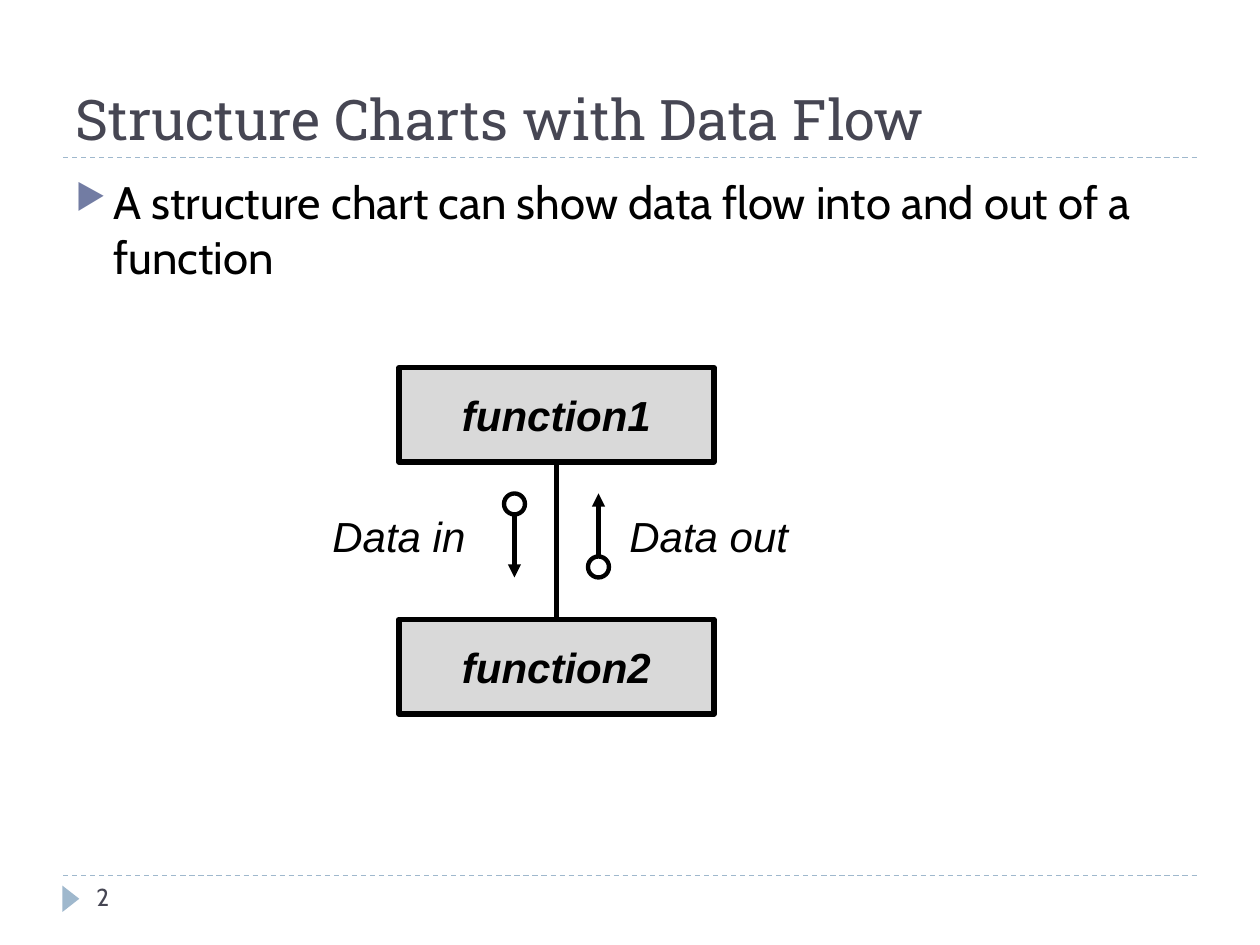
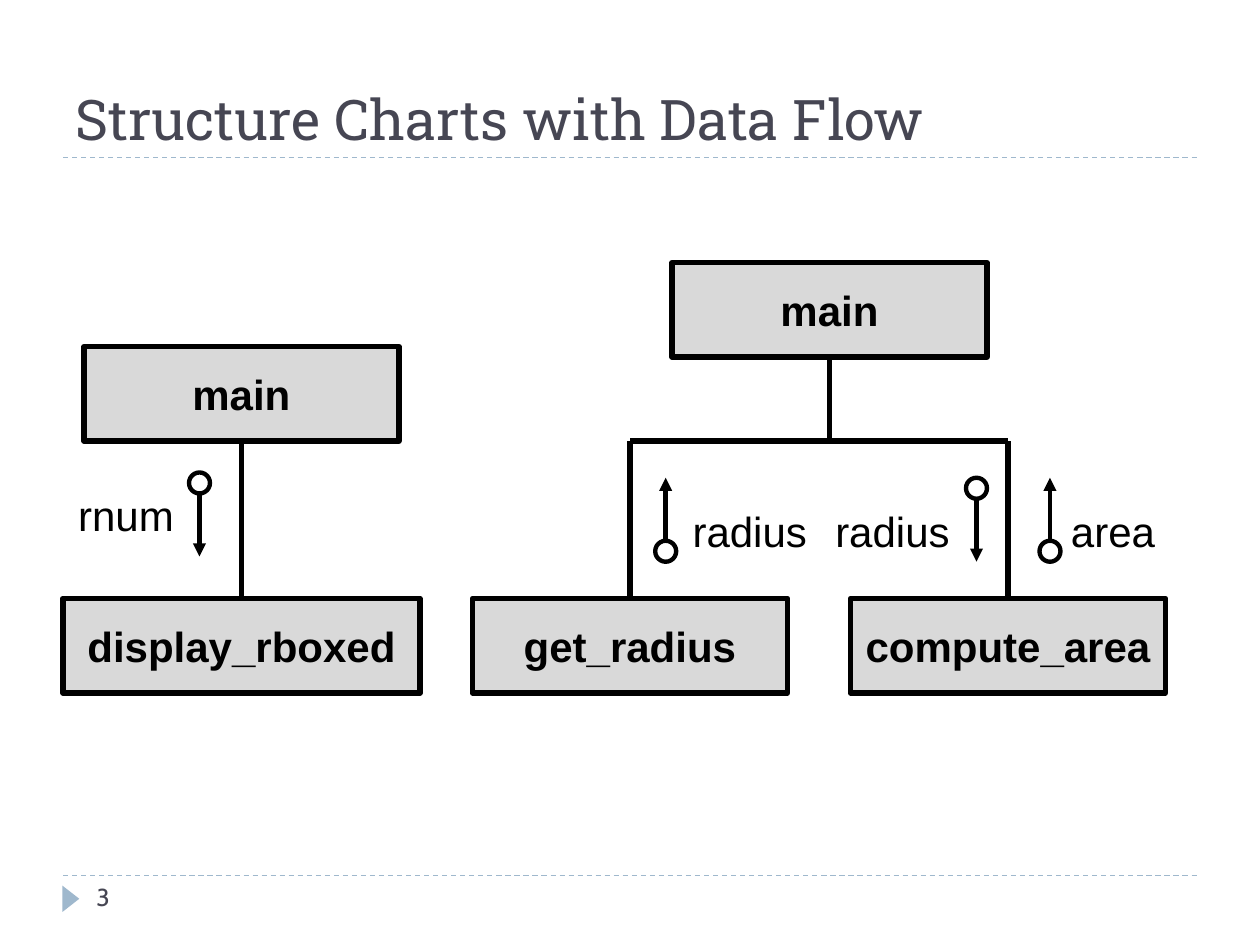
"""Build two slides of structure charts with data flow."""
from lxml import etree
from pptx import Presentation
from pptx import util as u
from pptx.dml.color import RGBColor
from pptx.enum import dml, shapes, text
from pptx.oxml import ns

PX = u.Inches(1) // 120
INK, SLATE, SKY, INDIGO, GREY = "000000", "464653", "9FB8CD", "727CA3", "D9D9D9"
HEADING, BODY, CHART = "Roboto Slab", "Cabin", "Arial"
BOX_W, BOX_H = 300, 90
RING, FLOW_H = 20, 80


def px(*lengths):
    return [u.Emu(length * PX) for length in lengths]


def paint(color_format, color):
    color_format.rgb = RGBColor.from_string(color)


def add_xml(parent, tag, **attributes):
    return etree.SubElement(parent, ns.qn(tag), attributes)


def add_bullet(para):
    para.space_before = u.Pt(6)
    properties = para._p.get_or_add_pPr()
    indent = u.Inches(0.3)
    properties.set("marL", str(indent))
    properties.set("indent", str(-indent))
    add_xml(add_xml(properties, "a:buClr"), "a:srgbClr", val=INDIGO)
    add_xml(properties, "a:buSzPct", val="76000")
    add_xml(properties, "a:buChar", char="▶")


def write(shape, words, font=CHART, size=24, color=INK, bold=False, italic=False,
          align=text.PP_ALIGN.CENTER, anchor=text.MSO_ANCHOR.MIDDLE, bullet=False):
    frame = shape.text_frame
    frame.word_wrap = True
    frame.vertical_anchor = anchor
    para = frame.paragraphs[0]
    para.alignment = align
    if bullet:
        add_bullet(para)
    span = para.add_run()
    span.text = words
    span.font.name, span.font.size = font, u.Pt(size)
    span.font.bold, span.font.italic = bold, italic
    paint(span.font.color, color)


class Deck:
    """Hold the shared style and the slide being drawn."""

    def __init__(self):
        self.deck = Presentation()
        self.deck.slide_width, self.deck.slide_height = px(1200, 900)
        self.page = None

    def new_page(self, title, number):
        self.page = self.deck.slides.add_slide(self.deck.slide_layouts[6])
        for y in (834, 150):
            self.line((60, y), (1140, y), 0.75, SKY, dashed=True)
        marker = self.shape(shapes.MSO_SHAPE.ISOSCELES_TRIANGLE, 55, 848, 25, 16, fill=SKY)
        marker.rotation = 90
        self.words(title, 60, 20, 1080, 130, font=HEADING, size=32, color=SLATE,
                   align=text.PP_ALIGN.LEFT, anchor=text.MSO_ANCHOR.BOTTOM)
        self.words(str(number), 80, 834, 260, 48, font=BODY, size=14, color=SLATE,
                   align=text.PP_ALIGN.LEFT, anchor=text.MSO_ANCHOR.TOP)

    def words(self, words, left, top, width, height, **style):
        write(self.page.shapes.add_textbox(*px(left, top, width, height)), words, **style)

    def label(self, words, left, top, width, italic=False):
        self.words(words, left, top, width, FLOW_H, italic=italic)

    def shape(self, kind, left, top, width, height, fill=None, weight=None):
        shape = self.page.shapes.add_shape(kind, *px(left, top, width, height))
        shape.shadow.inherit = False
        if fill:
            shape.fill.solid()
            paint(shape.fill.fore_color, fill)
        else:
            shape.fill.background()
        if weight:
            shape.line.width = u.Pt(weight)
            paint(shape.line.color, INK)
        else:
            shape.line.fill.background()
        return shape

    def box(self, name, left, top, width=BOX_W, weight=3.25, italic=False):
        box = self.shape(shapes.MSO_SHAPE.RECTANGLE, left, top, width, BOX_H, GREY, weight)
        box.text_frame.margin_left = box.text_frame.margin_right = 0
        write(box, name, bold=True, italic=italic)
        return box

    def line(self, start, end, weight=3, color=INK, dashed=False, arrow=False,
             caller=None, callee=None):
        line = self.page.shapes.add_connector(
            shapes.MSO_CONNECTOR.STRAIGHT, *px(*start, *end))
        line.line.width = u.Pt(weight)
        paint(line.line.color, color)
        if dashed:
            line.line.dash_style = dml.MSO_LINE.DASH
        if arrow:
            add_xml(line.line._get_or_add_ln(), "a:tailEnd", type="triangle")
        add_xml(line._element.spPr, "a:effectLst")
        if caller is not None:
            line.begin_connect(caller, 2)
        if callee is not None:
            line.end_connect(callee, 0)

    def flow(self, left, top, up=False):
        bottom, middle = top + FLOW_H, left + RING // 2
        ring_top = bottom - RING if up else top
        start, end = (ring_top, top) if up else (top + RING, bottom)
        self.shape(shapes.MSO_SHAPE.OVAL, left, ring_top, RING, RING, weight=2.5)
        self.line((middle, start), (middle, end), 2.5, arrow=True)


def draw_general_chart(deck):
    deck.words("A structure chart can show data flow into and out of a function",
               60, 160, 1100, 680, font=BODY, size=26, bullet=True,
               align=text.PP_ALIGN.LEFT, anchor=text.MSO_ANCHOR.TOP)
    callee = deck.box("function2", 380, 590, italic=True)
    caller = deck.box("function1", 380, 350, weight=3, italic=True)
    deck.line((530, 440), (530, 590), caller=caller, callee=callee)
    deck.flow(560, 470, up=True)
    deck.flow(480, 470)
    deck.label("Data in", 260, 470, 240, italic=True)
    deck.label("Data out", 570, 470, 210, italic=True)


def draw_display_chart(deck):
    display = deck.box("display_rboxed", 60, 570, width=340)
    main_box = deck.box("main", 80, 330, weight=3)
    deck.line((230, 420), (230, 570), caller=main_box, callee=display)
    deck.flow(180, 450)
    deck.label("rnum", 0, 450, 240)


def draw_area_chart(deck):
    branch_y, box_y = 420, 570
    main_box = deck.box("main", 640, 250, weight=3)
    for name, left in (("get_radius", 450), ("compute_area", 810)):
        middle = left + BOX_W // 2
        callee = deck.box(name, left, box_y)
        deck.line((middle, branch_y), (middle, box_y), callee=callee)
    deck.line((600, branch_y), (960, branch_y))
    deck.line((790, 340), (790, branch_y), caller=main_box)
    for left, up in ((624, True), (920, False), (990, True)):
        deck.flow(left, 455, up)
    for name, left, width in (("radius", 634, 160), ("radius", 730, 240), ("area", 980, 160)):
        deck.label(name, left, 465, width)


def main():
    deck = Deck()
    title = "Structure Charts with Data Flow"
    deck.new_page(title, 2)
    draw_general_chart(deck)
    deck.new_page(title, 3)
    draw_display_chart(deck)
    draw_area_chart(deck)
    deck.deck.save("out.pptx")


if __name__ == "__main__":
    main()
